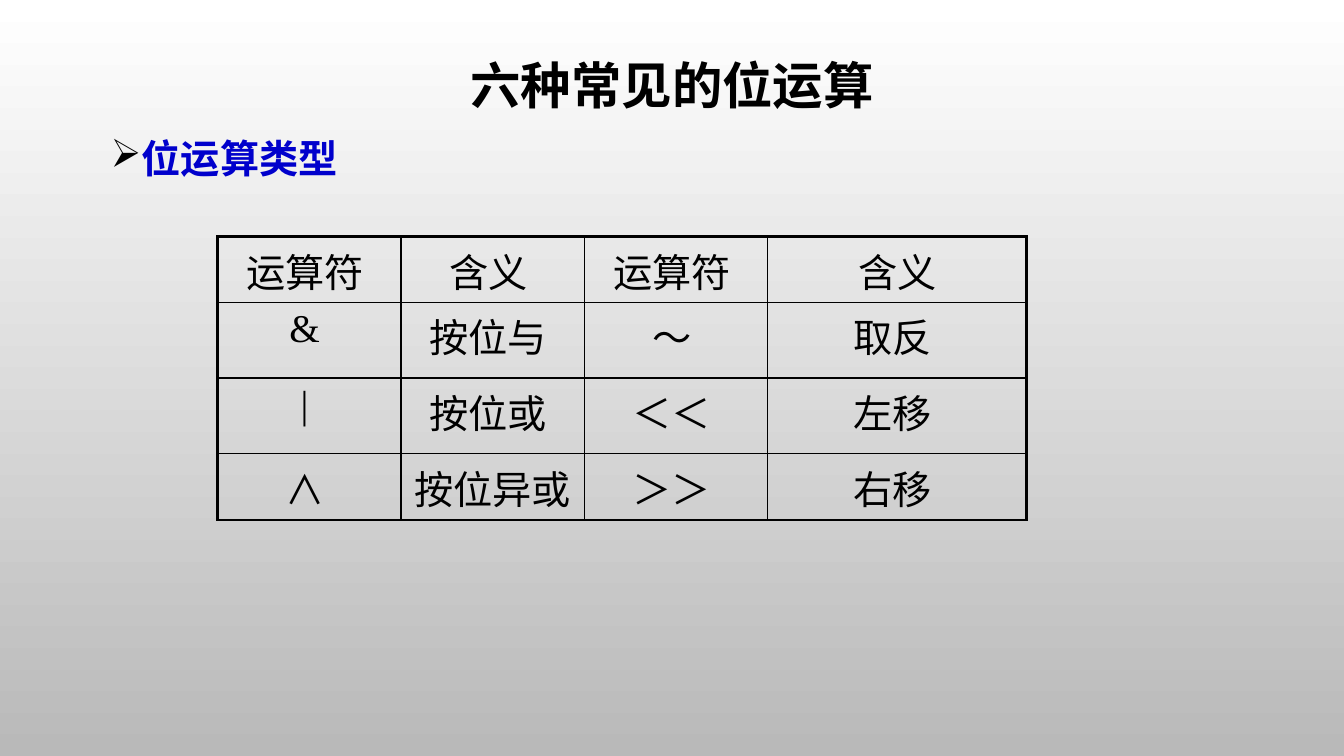
"""Build a slide that lists the six common bitwise operators."""
from dataclasses import dataclass

from lxml import etree
from pptx import Presentation
from pptx import util as u
from pptx.dml.color import RGBColor
from pptx.enum import text
from pptx.oxml.ns import qn

TITLE = "六种常见的位运算"
HEADING = "位运算类型"
OPERATORS = [
    ["运算符 ", "含义 ", "运算符 ", "含义"],
    ["& ", "按位与 ", "～ ", "取反 "],
    ["| ", "按位或 ", "＜＜ ", "左移 "],
    ["∧ ", "按位异或 ", "＞＞ ", "右移 "],
]
SERIF_OPERATORS = ("& ", "| ")
COLUMN_WIDTHS = [131, 131, 131, 185]
ROW_HEIGHTS = [47, 54, 54, 47.5]
TABLE_LEFT, TABLE_TOP = 155.5, 169


@dataclass(frozen=True)
class Theme:
    ink: str = "000000"
    accent: str = "0000CC"
    back_top: str = "FFFFFF"
    back_bottom: str = "B9B9B9"
    title_font: str = "Calibri"
    serif: str = "Times New Roman"
    cjk: str = "Noto Sans CJK SC"
    title_size: float = 36
    body_size: float = 28
    inner_line: float = 1
    outer_line: float = 2.25


THEME = Theme()


def add_span(para, words, font, size, color, bold=False):
    span = para.add_run()
    span.text = words
    span.font.name = font
    span.font.size = u.Pt(size)
    span.font.bold = bold
    span.font.color.rgb = RGBColor.from_string(color)
    etree.SubElement(span.font._element, qn("a:ea"), typeface=THEME.cjk)


def add_text_box(page, left, top, width, height, anchor):
    box = page.shapes.add_textbox(*map(u.Pt, (left, top, width, height)))
    box.text_frame.word_wrap = True
    box.text_frame.vertical_anchor = anchor
    return box.text_frame.paragraphs[0]


def add_bullet(para, mark, indent):
    props = para._p.get_or_add_pPr()
    props.set("marL", str(u.Pt(indent)))
    props.set("indent", str(-u.Pt(indent)))
    color = etree.SubElement(props, qn("a:buClr"))
    etree.SubElement(color, qn("a:srgbClr"), val=THEME.ink)
    etree.SubElement(props, qn("a:buChar"), char=mark)


def set_borders(cell, outer_sides):
    props = cell._tc.get_or_add_tcPr()
    for place, side in enumerate("LRTB"):
        width = THEME.outer_line if side in outer_sides else THEME.inner_line
        line = etree.Element(qn(f"a:ln{side}"), w=str(u.Pt(width)))
        fill = etree.SubElement(line, qn("a:solidFill"))
        etree.SubElement(fill, qn("a:srgbClr"), val=THEME.ink)
        props.insert(place, line)


def fill_cell(cell, words, outer_sides):
    cell.fill.background()
    set_borders(cell, outer_sides)
    para = cell.text_frame.paragraphs[0]
    para.alignment = text.PP_ALIGN.CENTER
    before = etree.SubElement(para._p.get_or_add_pPr(), qn("a:spcBef"))
    etree.SubElement(before, qn("a:spcPct"), val="20000")
    font = THEME.serif if words in SERIF_OPERATORS else THEME.cjk
    add_span(para, words, font, THEME.body_size, THEME.ink)


def add_operator_table(page):
    rows, columns = len(ROW_HEIGHTS), len(COLUMN_WIDTHS)
    area = (TABLE_LEFT, TABLE_TOP, sum(COLUMN_WIDTHS), sum(ROW_HEIGHTS))
    table = page.shapes.add_table(rows, columns, *map(u.Pt, area)).table
    table.first_row = table.horz_banding = False
    for column, width in zip(table.columns, COLUMN_WIDTHS):
        column.width = u.Pt(width)
    for r, height in enumerate(ROW_HEIGHTS):
        table.rows[r].height = u.Pt(height)
        for c, words in enumerate(OPERATORS[r]):
            edges = {"L": c == 0, "R": c == columns - 1, "T": r == 0, "B": r == rows - 1}
            fill_cell(table.cell(r, c), words, [side for side in edges if edges[side]])


def main():
    deck = Presentation()
    deck.slide_width, deck.slide_height = u.Pt(960), u.Pt(540)
    page = deck.slides.add_slide(deck.slide_layouts[6])

    back = page.background.fill
    back.gradient()
    back.gradient_angle = 270
    for stop, color in zip(back.gradient_stops, (THEME.back_top, THEME.back_bottom)):
        stop.color.rgb = RGBColor.from_string(color)

    title = add_text_box(page, 72, 0, 816, 126, text.MSO_ANCHOR.MIDDLE)
    title.alignment = text.PP_ALIGN.CENTER
    title.line_spacing = 0.9
    add_span(title, TITLE, THEME.title_font, THEME.title_size, THEME.ink, bold=True)

    heading = add_text_box(page, 72, 86, 816, 436, text.MSO_ANCHOR.TOP)
    add_bullet(heading, "➢", 19.5)
    heading.line_spacing = 1.2
    heading.space_before = u.Pt(10)
    add_span(heading, HEADING, THEME.serif, THEME.body_size, THEME.accent, bold=True)

    add_operator_table(page)
    deck.save("out.pptx")


if __name__ == "__main__":
    main()
